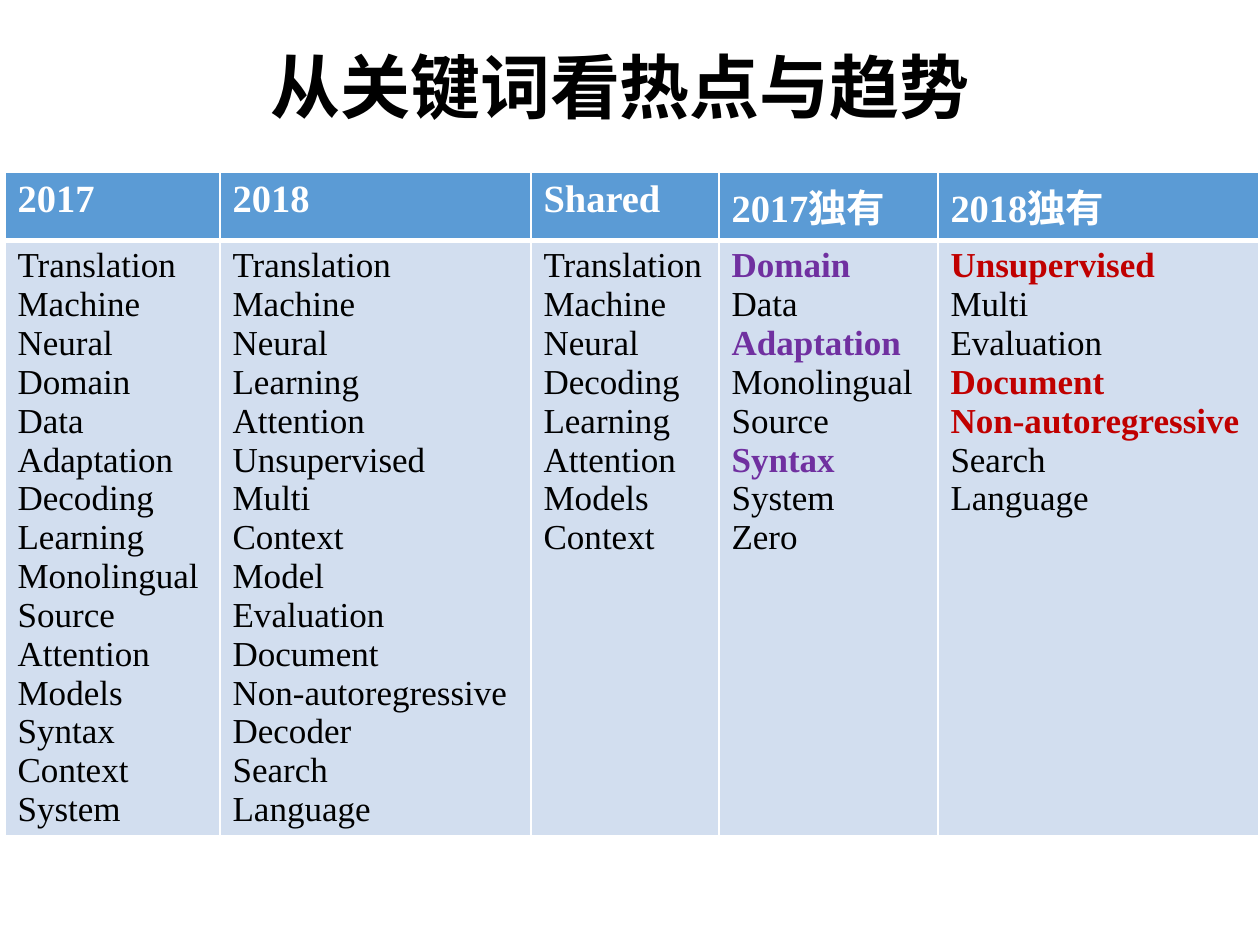
from dataclasses import dataclass

from lxml.etree import SubElement
from pptx import Presentation
from pptx.dml.color import RGBColor
from pptx.enum.text import MSO_ANCHOR, PP_ALIGN
from pptx.oxml.ns import qn
from pptx.util import Emu, Pt


@dataclass(frozen=True)
class Theme:
    font: str = "Times New Roman"
    title_size: int = 40
    header_size: int = 22
    body_size: int = 20
    text: str = "000000"
    white: str = "FFFFFF"
    header_fill: str = "5B9BD5"
    body_fill: str = "D2DEEF"
    only_2017: str = "7030A0"
    only_2018: str = "C00000"
    thin: int = 1
    thick: int = 3


THEME = Theme()
SLIDE_BOX = (0, 0, 1260, 945)
TITLE_BOX = (53, 13, 1134, 146)
TABLE_BOX = (5, 172, 1254, 662)
HEADER_HEIGHT = 67

# Heading, column width, words, highlighted words, highlight colour
KEYWORDS = [
    ("2017", 215,
     "Translation Machine Neural Domain Data Adaptation Decoding Learning "
     "Monolingual Source Attention Models Syntax Context System", "", THEME.text),
    ("2018", 311,
     "Translation Machine Neural Learning Attention Unsupervised Multi Context "
     "Model Evaluation Document Non-autoregressive Decoder Search Language",
     "", THEME.text),
    ("Shared", 188,
     "Translation Machine Neural Decoding Learning Attention Models Context",
     "", THEME.text),
    ("2017独有", 219,
     "Domain Data Adaptation Monolingual Source Syntax System Zero",
     "Domain Adaptation Syntax", THEME.only_2017),
    ("2018独有", 321,
     "Unsupervised Multi Evaluation Document Non-autoregressive Search Language",
     "Unsupervised Document Non-autoregressive", THEME.only_2018),
]


def px(length):
    return Emu(round(length * 914400 / 126))


def style(paragraph, size, color, bold):
    font = paragraph.font
    font.name, font.size, font.bold = THEME.font, Pt(size), bold
    font.color.rgb = RGBColor.from_string(color)


def set_borders(cell, top, bottom):
    properties = cell._tc.get_or_add_tcPr()
    widths = {"a:lnL": THEME.thin, "a:lnR": THEME.thin, "a:lnT": top, "a:lnB": bottom}
    for tag, width in widths.items():
        line = SubElement(properties, qn(tag), w=str(Pt(width)))
        fill = SubElement(line, qn("a:solidFill"))
        SubElement(fill, qn("a:srgbClr"), val=THEME.white)


def fill_cell(cell, words, fill, size, look, top, bottom):
    """Put one word on each line; look(word) gives its colour and weight."""
    set_borders(cell, top, bottom)
    cell.fill.solid()
    cell.fill.fore_color.rgb = RGBColor.from_string(fill)
    cell.text = "\n".join(words)
    for paragraph, word in zip(cell.text_frame.paragraphs, words):
        style(paragraph, size, *look(word))


def add_title(slide, box, wording):
    title = slide.shapes.title
    title.left, title.top, title.width, title.height = map(px, box)
    title.text = wording
    title.text_frame.vertical_anchor = MSO_ANCHOR.MIDDLE
    heading = title.text_frame.paragraphs[0]
    heading.alignment = PP_ALIGN.CENTER
    style(heading, THEME.title_size, THEME.text, True)


def add_keyword_table(slide, box, columns):
    table = slide.shapes.add_table(2, len(columns), *map(px, box)).table
    table.horz_banding = False
    table.rows[0].height = px(HEADER_HEIGHT)
    table.rows[1].height = px(box[3] - HEADER_HEIGHT)

    for index, (heading, width, words, highlights, accent) in enumerate(columns):
        table.columns[index].width = px(width)
        highlighted = highlights.split()

        def keyword_look(word):
            return (accent, True) if word in highlighted else (THEME.text, False)

        # Heading cell
        fill_cell(table.cell(0, index), [heading], THEME.header_fill,
                  THEME.header_size, lambda word: (THEME.white, True),
                  THEME.thin, THEME.thick)
        # Keyword cell
        fill_cell(table.cell(1, index), words.split(), THEME.body_fill,
                  THEME.body_size, keyword_look, THEME.thick, THEME.thin)


def main():
    deck = Presentation()
    deck.slide_width, deck.slide_height = map(px, SLIDE_BOX[2:])
    slide = deck.slides.add_slide(deck.slide_layouts.get_by_name("Title Only"))
    add_title(slide, TITLE_BOX, "从关键词看热点与趋势")
    add_keyword_table(slide, TABLE_BOX, KEYWORDS)
    deck.save("out.pptx")


if __name__ == "__main__":
    main()
